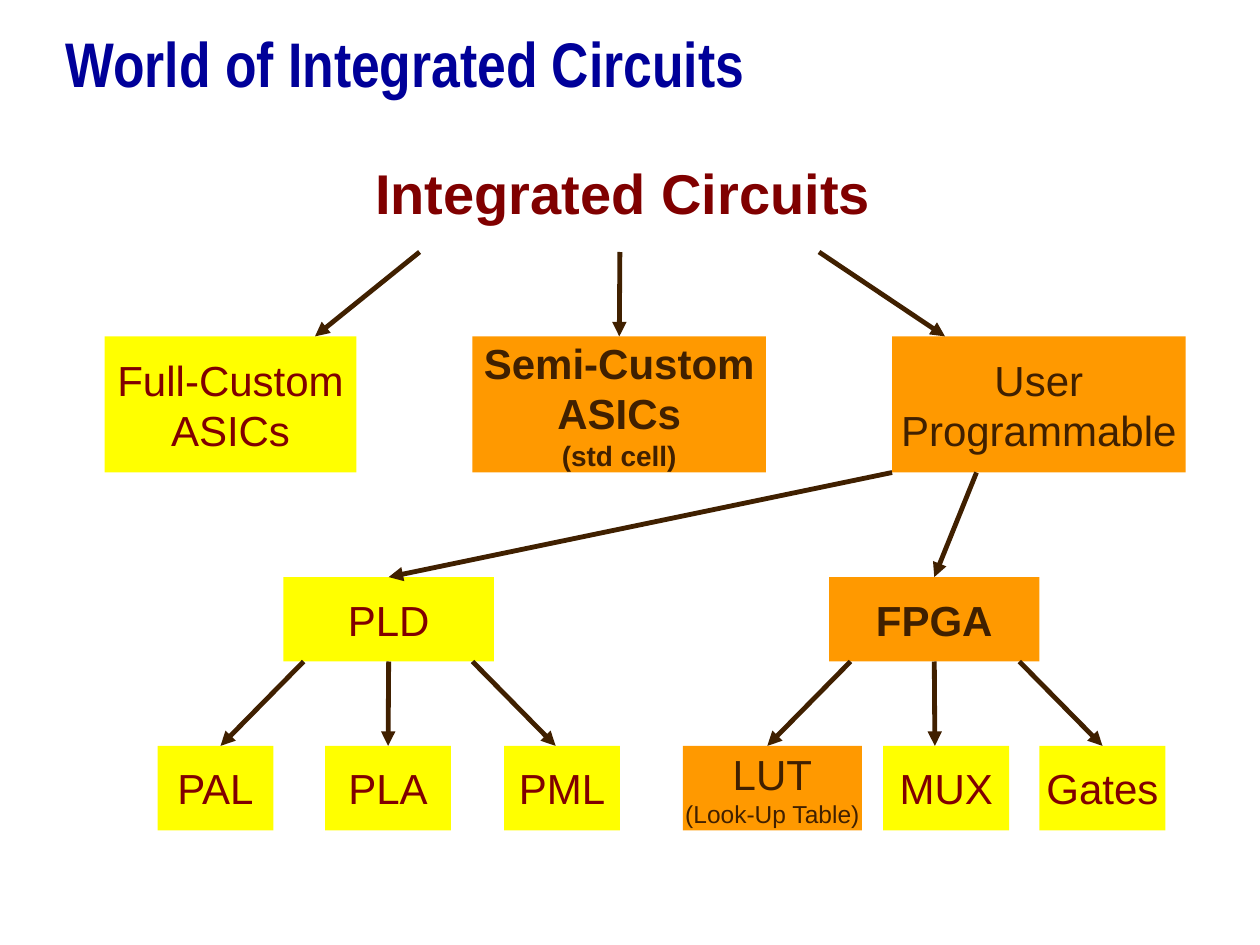
from dataclasses import dataclass

from lxml.etree import SubElement
from pptx import Presentation
from pptx.dml.color import RGBColor
from pptx.enum.shapes import MSO_CONNECTOR, MSO_SHAPE
from pptx.enum.text import MSO_ANCHOR, MSO_AUTO_SIZE, PP_ALIGN
from pptx.oxml.ns import qn
from pptx.shapes.autoshape import Shape
from pptx.slide import Slide
from pptx.text.text import TextFrame
from pptx.util import Inches, Pt

TOP, BOTTOM = 0, 2


@dataclass(frozen=True)
class Theme:
    title: str = "000099"
    maroon: str = "800000"
    brown: str = "402000"
    yellow: str = "FFFF00"
    orange: str = "FF9900"
    body_font: str = "Arial"
    title_font: str = "Arial Narrow"
    title_size: int = 36
    heading_size: int = 32
    label_size: int = 24
    arrow_width: float = 2.75


THEME = Theme()


@dataclass(frozen=True)
class Box:
    """A category; highlighted ones are orange, the others yellow."""
    lines: tuple[str, ...]
    left: float
    top: float
    width: float
    height: float
    highlighted: bool = False
    bold: bool = False
    note: str = ""
    note_size: int = 16


@dataclass(frozen=True)
class Arrow:
    """Source and target name the boxes joined at a side's middle."""
    start: tuple[float, float]
    end: tuple[float, float]
    source: str = ""
    target: str = ""


KIND_TOP, KIND_HEIGHT = 2.67, 1.08
DEVICE_TOP, PART_TOP, LOW_HEIGHT = 4.58, 5.92, 0.67
KIND_BOTTOM = KIND_TOP + KIND_HEIGHT
DEVICE_BOTTOM = DEVICE_TOP + LOW_HEIGHT
HEADING_BOTTOM = 2
PLD_CENTRE, FPGA_CENTRE = 3.08, 7.42
FAN_START, FAN_END = 0.67, 1.33

BOXES = (
    Box(("Full-Custom", "ASICs"), 0.83, KIND_TOP, 2, KIND_HEIGHT),
    Box(("Semi-Custom", "ASICs"), 3.75, KIND_TOP, 2.33, KIND_HEIGHT,
        highlighted=True, bold=True, note="(std cell)"),
    Box(("User", "Programmable"), 7.08, KIND_TOP, 2.33, KIND_HEIGHT, highlighted=True),
    Box(("PLD",), 2.25, DEVICE_TOP, 1.67, LOW_HEIGHT),
    Box(("FPGA",), 6.58, DEVICE_TOP, 1.67, LOW_HEIGHT, highlighted=True, bold=True),
    Box(("PAL",), 1.25, PART_TOP, 0.92, LOW_HEIGHT),
    Box(("PLA",), 2.58, PART_TOP, 1, LOW_HEIGHT),
    Box(("PML",), 4, PART_TOP, 0.92, LOW_HEIGHT),
    Box(("LUT",), 5.42, PART_TOP, 1.42, LOW_HEIGHT, highlighted=True,
        note="(Look-Up Table)", note_size=14),
    Box(("MUX",), 7.01, PART_TOP, 1, LOW_HEIGHT),
    Box(("Gates",), 8.25, PART_TOP, 1, LOW_HEIGHT),
)


def fan(centre: float, source: str, targets: tuple[str, str, str]) -> list[Arrow]:
    """Three arrows spreading evenly from a device; an empty target is not joined."""
    return [
        Arrow((centre + step * FAN_START, DEVICE_BOTTOM),
              (centre + step * FAN_END, PART_TOP),
              source if step == 0 else "", target)
        for step, target in zip((-1, 0, 1), targets)
    ]


ARROWS = (
    Arrow((3.33, HEADING_BOTTOM), (2.5, KIND_TOP)),
    Arrow((4.92, HEADING_BOTTOM), (4.92, KIND_TOP), target="Semi-Custom"),
    Arrow((6.5, HEADING_BOTTOM), (7.5, KIND_TOP)),
    Arrow((7.08, KIND_BOTTOM), (PLD_CENTRE, DEVICE_TOP), target="PLD"),
    Arrow((7.75, KIND_BOTTOM), (FPGA_CENTRE, DEVICE_TOP), target="FPGA"),
    *fan(PLD_CENTRE, "PLD", ("", "PLA", "")),
    *fan(FPGA_CENTRE, "FPGA", ("", "", "Gates")),
)


def write(frame: TextFrame, text: str, *, size: int, color: str,
          font: str = THEME.body_font, bold: bool = False,
          align: PP_ALIGN = PP_ALIGN.CENTER) -> None:
    """Fill the empty first paragraph, or add one after the existing text."""
    paragraph = frame.add_paragraph() if frame.text else frame.paragraphs[0]
    paragraph.alignment = align
    run = paragraph.add_run()
    run.text = text
    run.font.name = font
    run.font.size = Pt(size)
    run.font.bold = bold
    run.font.color.rgb = RGBColor.from_string(color)


def draw_title(slide: Slide, text: str) -> None:
    title = slide.shapes.title
    title.left, title.top = Inches(0.42), Inches(0.08)
    title.width, title.height = Inches(9.17), Inches(0.83)
    title.text_frame.auto_size = MSO_AUTO_SIZE.NONE
    title.text_frame.vertical_anchor = MSO_ANCHOR.MIDDLE
    write(title.text_frame, text, size=THEME.title_size, color=THEME.title,
          font=THEME.title_font, bold=True, align=PP_ALIGN.LEFT)


def draw_heading(slide: Slide, text: str) -> None:
    heading = slide.shapes.add_textbox(Inches(2.88), Inches(1.21), Inches(4.13), Inches(0.64))
    heading.text_frame.word_wrap = False
    heading.text_frame.auto_size = MSO_AUTO_SIZE.SHAPE_TO_FIT_TEXT
    write(heading.text_frame, text, size=THEME.heading_size, color=THEME.maroon, bold=True)


def draw_box(slide: Slide, box: Box) -> Shape:
    rectangle = slide.shapes.add_shape(
        MSO_SHAPE.RECTANGLE, Inches(box.left), Inches(box.top),
        Inches(box.width), Inches(box.height))
    rectangle.shadow.inherit = False
    rectangle.fill.solid()
    rectangle.fill.fore_color.rgb = RGBColor.from_string(
        THEME.orange if box.highlighted else THEME.yellow)
    rectangle.line.fill.background()
    frame = rectangle.text_frame
    frame.word_wrap = False
    frame.vertical_anchor = MSO_ANCHOR.MIDDLE
    color = THEME.brown if box.highlighted else THEME.maroon
    for line in box.lines:
        write(frame, line, size=THEME.label_size, color=color, bold=box.bold)
    if box.note:
        write(frame, box.note, size=box.note_size, color=color, bold=box.bold)
    return rectangle


def draw_arrow(slide: Slide, arrow: Arrow, rectangles: dict[str, Shape]) -> None:
    connector = slide.shapes.add_connector(
        MSO_CONNECTOR.STRAIGHT, *map(Inches, arrow.start + arrow.end))
    if arrow.source:
        connector.begin_connect(rectangles[arrow.source], BOTTOM)
    if arrow.target:
        connector.end_connect(rectangles[arrow.target], TOP)
    connector.line.width = Pt(THEME.arrow_width)
    connector.line.color.rgb = RGBColor.from_string(THEME.brown)
    SubElement(connector.line._get_or_add_ln(), qn("a:tailEnd"), type="triangle")
    SubElement(connector._element.spPr, qn("a:effectLst"))


def main() -> None:
    presentation = Presentation()
    presentation.slide_width, presentation.slide_height = Inches(10), Inches(7.5)
    slide = presentation.slides.add_slide(presentation.slide_layouts.get_by_name("Title Only"))
    draw_title(slide, "World of Integrated Circuits")
    draw_heading(slide, "Integrated Circuits")
    rectangles = {box.lines[0]: draw_box(slide, box) for box in BOXES}
    for arrow in ARROWS:
        draw_arrow(slide, arrow, rectangles)
    presentation.save("out.pptx")


if __name__ == "__main__":
    main()
